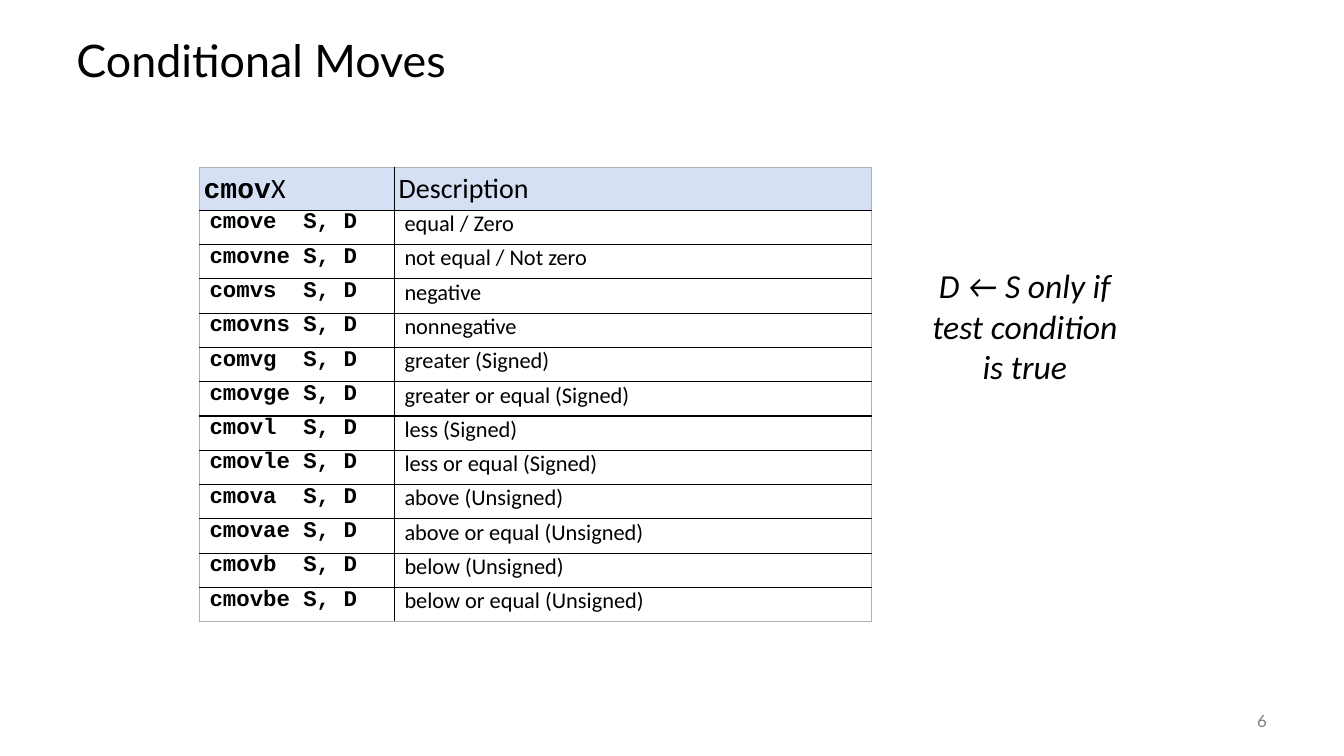
from lxml.etree import SubElement
from pptx import Presentation
from pptx.dml.color import RGBColor
from pptx.enum.text import MSO_ANCHOR as Anchor, PP_ALIGN as Align
from pptx.oxml.ns import qn
from pptx.util import Pt


def color(hex_string):
    return RGBColor.from_string(hex_string)


class SlideWriter:
    BODY, CODE, HEADING = "Calibri", "Courier New", "Lato"
    INK, GREY, EDGE, HEADER_FILL = "000000", "808080", "B0B0B0", "D6E0F5"

    def __init__(self, slide):
        self.slide = slide

    def run(self, paragraph, text, size, font, ink=INK, bold=False, italic=False):
        run = paragraph.add_run()
        run.text = text
        run.font.size, run.font.name = Pt(size), font
        run.font.bold, run.font.italic = bold, italic
        run.font.color.rgb = color(ink)

    def text(self, left, top, width, height, lines, size, font,
             align=Align.LEFT, anchor=Anchor.TOP, spacing=None, **style):
        frame = self.slide.shapes.add_textbox(
            Pt(left), Pt(top), Pt(width), Pt(height)).text_frame
        frame.word_wrap = True
        frame.vertical_anchor = anchor
        paragraph = frame.paragraphs[0]
        paragraph.alignment = align
        paragraph.line_spacing = spacing
        for number, line in enumerate(lines):
            if number:
                paragraph.add_line_break()
            self.run(paragraph, line, size, font, **style)

    def border(self, cell, side, ink):
        line = SubElement(cell._tc.get_or_add_tcPr(), qn(f"a:ln{side}"), w=str(Pt(1)))
        fill = SubElement(line, qn("a:solidFill"))
        SubElement(fill, qn("a:srgbClr"), val=ink)

    def cell(self, cell, runs, size, inset_x, inset_y, outer_sides, fill=None):
        cell.margin_left = cell.margin_right = Pt(inset_x)
        cell.margin_top = cell.margin_bottom = Pt(inset_y)
        for side in "LRTB":
            self.border(cell, side, self.EDGE if side in outer_sides else self.INK)
        if fill:
            cell.fill.solid()
            cell.fill.fore_color.rgb = color(fill)
        else:
            cell.fill.background()
        for text, font, bold in runs:
            self.run(cell.text_frame.paragraphs[0], text, size, font, bold=bold)

    def table(self, left, top, widths, header_height, row_height, header, rows):
        heights = [header_height] + [row_height] * len(rows)
        table = self.slide.shapes.add_table(
            len(heights), len(widths), Pt(left), Pt(top),
            Pt(sum(widths)), Pt(sum(heights))).table
        for column, width in zip(table.columns, widths):
            column.width = Pt(width)
        for row, height in zip(table.rows, heights):
            row.height = Pt(height)
        last = len(rows)
        for r, cells in enumerate([header] + rows):
            looks = (20, 3, 3) if r == 0 else (16, 7.2, 0)
            for c, runs in enumerate(cells):
                outer = "LR"[c] + ("T" if r == 0 else "B" if r == last else "")
                self.cell(table.cell(r, c), runs, *looks, outer,
                          self.HEADER_FILL if r == 0 else None)


CONDITIONS = [
    ("cmove", "equal / Zero"),
    ("cmovne", "not equal / Not zero"),
    ("comvs", "negative"),
    ("cmovns", "nonnegative"),
    ("comvg", "greater (Signed)"),
    ("cmovge", "greater or equal (Signed)"),
    ("cmovl", "less (Signed)"),
    ("cmovle", "less or equal (Signed)"),
    ("cmova", "above (Unsigned)"),
    ("cmovae", "above or equal (Unsigned)"),
    ("cmovb", "below (Unsigned)"),
    ("cmovbe", "below or equal (Unsigned)"),
]


def main():
    deck = Presentation()
    deck.slide_width, deck.slide_height = Pt(960), Pt(540)
    page = SlideWriter(deck.slides.add_slide(deck.slide_layouts[6]))

    # Title
    page.text(47.5, 18, 864, 54, ["Conditional Moves"], 32, page.HEADING,
              anchor=Anchor.MIDDLE, spacing=0.9)

    # Table of instructions, mnemonics padded to one width
    header = [[("cmov", page.CODE, True), ("X", page.BODY, False)],
              [("Description", page.BODY, False)]]
    rows = [[[(f"{mnemonic:<6} S, D", page.CODE, True)],
             [(meaning, page.BODY, False)]] for mnemonic, meaning in CONDITIONS]
    page.table(142.5, 119.5, [139.25, 341], 30.7, 24.5, header, rows)

    # Effect of the move
    page.text(630, 186, 204, 180, ["D ← S only if", "test condition", "is true"],
              24, page.BODY, align=Align.CENTER, italic=True)

    # Slide number
    page.text(840, 500.5, 72, 29, ["6"], 12, page.HEADING,
              align=Align.RIGHT, anchor=Anchor.MIDDLE, ink=page.GREY)

    deck.save("out.pptx")


if __name__ == "__main__":
    main()
